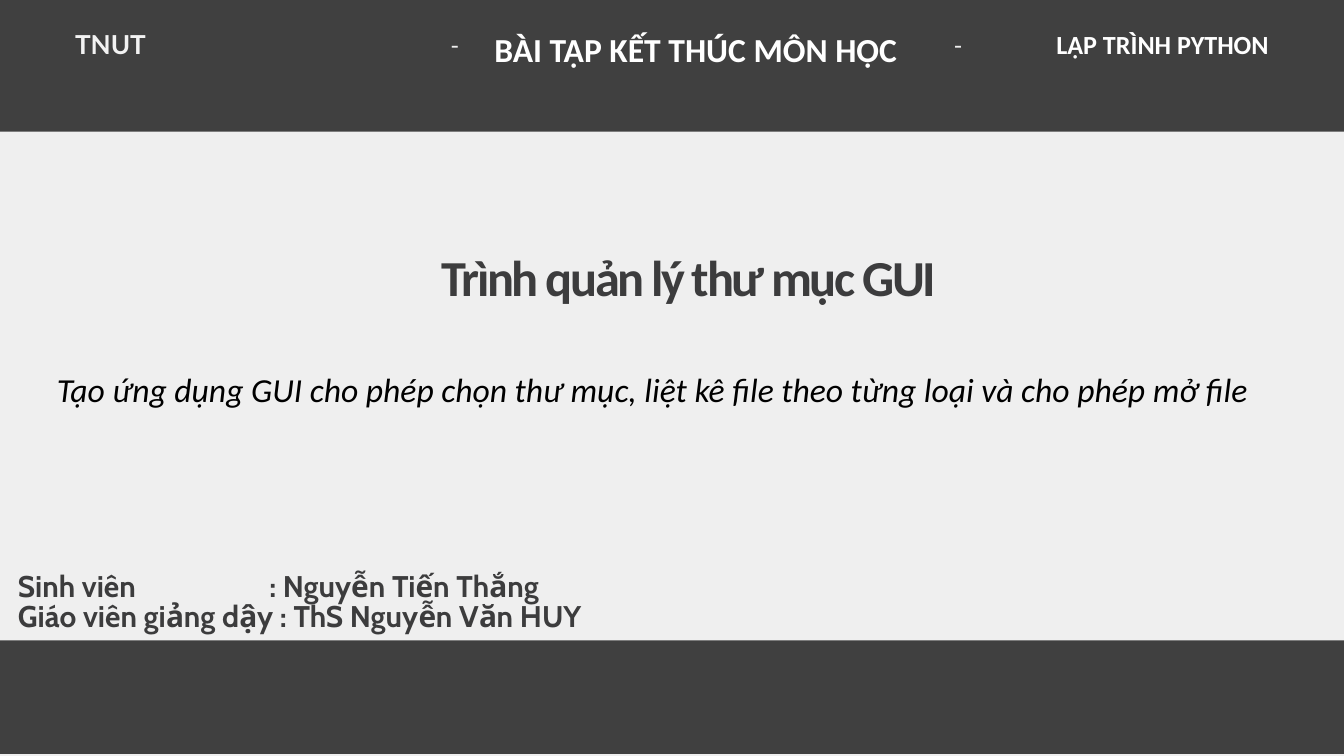
from dataclasses import dataclass

from lxml.etree import SubElement
from pptx import Presentation
from pptx.dml.color import RGBColor
from pptx.enum.shapes import MSO_SHAPE
from pptx.enum.text import MSO_AUTO_SIZE, PP_ALIGN
from pptx.oxml.ns import qn
from pptx.util import Cm, Pt


@dataclass(frozen=True)
class Theme:
    paper: RGBColor = RGBColor.from_string("EFEFEF")
    band: RGBColor = RGBColor.from_string("404040")
    ink: RGBColor = RGBColor.from_string("3C3C3D")
    white: RGBColor = RGBColor.from_string("FFFFFF")
    pale: RGBColor = RGBColor.from_string("F2F2F2")
    black: RGBColor = RGBColor.from_string("000000")
    dash: int = 26
    label: int = 28
    people: int = 32
    heading: int = 36
    title: int = 54


theme = Theme()


def add_box(left, top, width, height, inset=True):
    box = page.shapes.add_textbox(Cm(left), Cm(top), Cm(width), Cm(height))
    frame = box.text_frame
    frame.word_wrap = True
    frame.auto_size = MSO_AUTO_SIZE.SHAPE_TO_FIT_TEXT
    if not inset:
        frame.margin_left = frame.margin_right = 0
        frame.margin_top = frame.margin_bottom = 0
    return frame


def add_text(para, text, size, face, color, align, leading=None, bold=False, italic=False):
    para.alignment = align
    if leading:
        para.line_spacing = Pt(leading)
    span = para.add_run()
    span.text = text
    span.font.size = Pt(size)
    span.font.name = face
    span.font.color.rgb = color
    span.font.bold = bold
    span.font.italic = italic
    return span


deck = Presentation()
deck.slide_width = Cm(50.8)
deck.slide_height = Cm(28.58)
page = deck.slides.add_slide(deck.slide_layouts[6])
page.background.fill.solid()
page.background.fill.fore_color.rgb = theme.paper

for top, height in [(-1.22, 6.2), (24.21, 4.29)]:
    band = page.shapes.add_shape(MSO_SHAPE.RECTANGLE, 0, Cm(top), deck.slide_width, Cm(height))
    band.shadow.inherit = False
    band.fill.solid()
    band.fill.fore_color.rgb = theme.band
    band.line.fill.background()

header_labels = [
    ("LẬP TRÌNH PYTHON", 39.29, 8.66, 2.46, theme.label, "Calibri", theme.white, PP_ALIGN.RIGHT, True),
    ("TNUT", 2.84, 8.66, 1.22, theme.label, "Lato", theme.pale, PP_ALIGN.JUSTIFY, True),
    ("-", 15.24, 3.91, 1.24, theme.dash, "Lato", theme.paper, PP_ALIGN.CENTER, False),
    ("-", 34.26, 3.91, 1.24, theme.dash, "Lato", theme.paper, PP_ALIGN.CENTER, False),
]
for text, left, width, height, size, face, color, align, bold in header_labels:
    frame = add_box(left, 0.97, width, height, inset=False)
    add_text(frame.paragraphs[0], text, size, face, color, align, 36.4, bold)

frame = add_box(10.8, 5.99, 30.48, 4.9)
title = add_text(frame.paragraphs[0], "Trình quản lý thư mục GUI", theme.title, "Calibri",
                 theme.ink, PP_ALIGN.CENTER, 155, bold=True)
title._r.get_or_add_rPr().set("spc", "-250")

frame = add_box(18.21, 0.97, 16.18, 3.33)
add_text(frame.paragraphs[0], "BÀI TẬP KẾT THÚC MÔN HỌC", theme.heading, "Calibri",
         theme.white, PP_ALIGN.CENTER, bold=True)

frame = add_box(0.43, 21.56, 23.7, 3.92)
student = frame.paragraphs[0]
add_text(student, "Sinh viên\t: Nguyễn Tiến Thắng", theme.people, "Cabin",
         theme.ink, PP_ALIGN.LEFT, 32.2, bold=True)
tabs = SubElement(student._p.get_or_add_pPr(), qn("a:tabLst"))
SubElement(tabs, qn("a:tab"), pos=str(Cm(9.5)), algn="l")
add_text(frame.add_paragraph(), "Giáo viên giảng dậy : ThS Nguyễn Văn HUY", theme.people, "Cabin",
         theme.ink, PP_ALIGN.LEFT, 32.2, bold=True)

frame = add_box(1.9, 13.84, 47.62, 1.8)
add_text(frame.paragraphs[0],
         "Tạo ứng dụng GUI cho phép chọn thư mục, liệt kê file theo từng loại và cho phép mở file",
         theme.heading, "Calibri", theme.black, PP_ALIGN.LEFT, italic=True)

deck.save("out.pptx")
